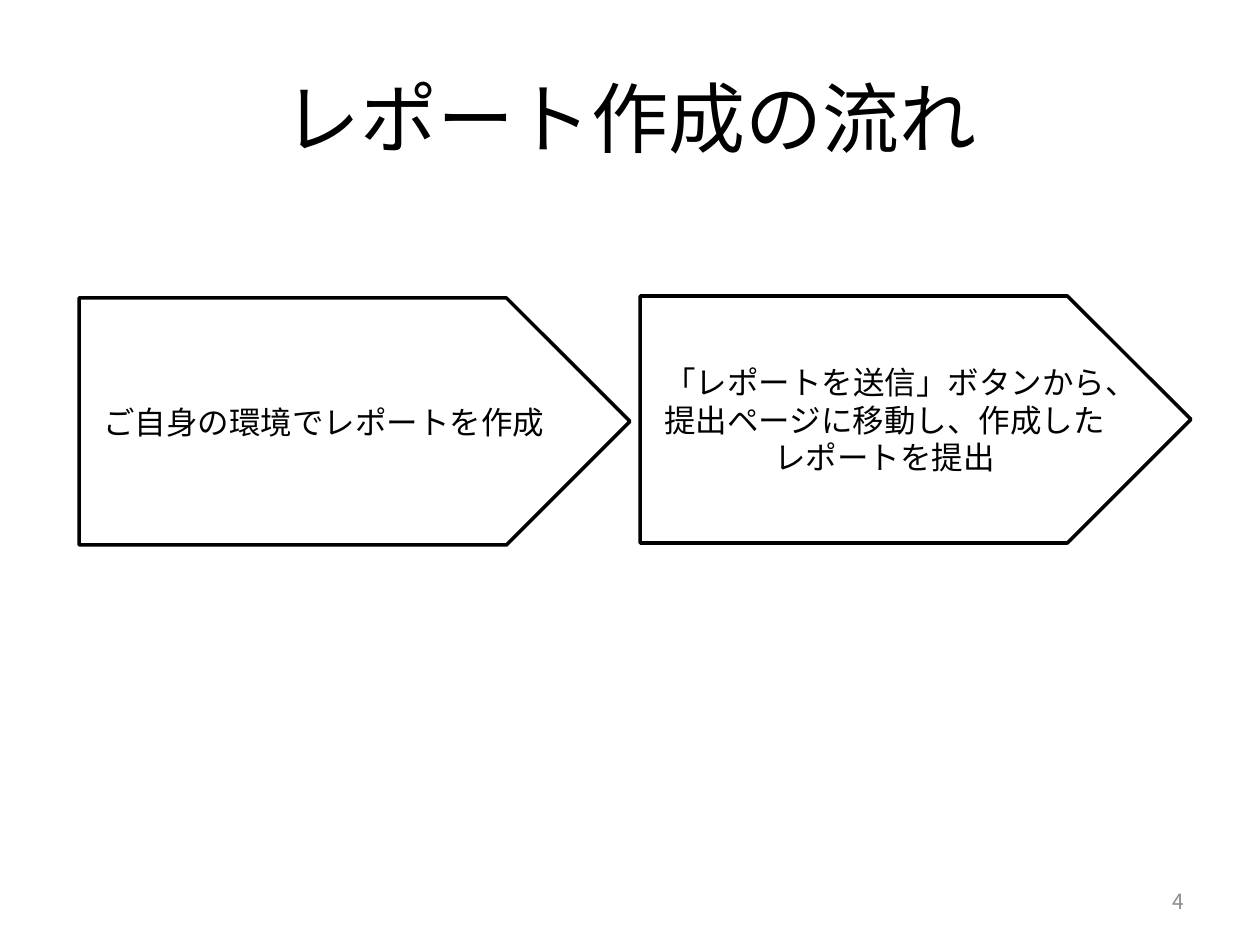
from lxml.etree import SubElement
from pptx import Presentation
from pptx.dml.color import RGBColor
from pptx.enum.shapes import MSO_SHAPE as Shape
from pptx.enum.text import MSO_ANCHOR as Anchor, PP_ALIGN as Align
from pptx.oxml.ns import qn
from pptx.util import Emu, Pt

BLACK = RGBColor(0x00, 0x00, 0x00)
GRAY = RGBColor(0x8C, 0x8C, 0x8C)
GOTHIC = "Noto Sans CJK JP"
BODY = "Calibri"
PX_PER_INCH = 126
TITLE_ONLY = 5


def px(*lengths):
    return [Emu(round(length * 914400 / PX_PER_INCH)) for length in lengths]


class Deck:
    def __init__(self, width, height):
        self.presentation = Presentation()
        self.presentation.slide_width, self.presentation.slide_height = px(width, height)
        self.slide = None

    def add_slide(self):
        layout = self.presentation.slide_layouts[TITLE_ONLY]
        self.slide = self.presentation.slides.add_slide(layout)

    def set_text(self, frame, text, size, font, color, align):
        frame.word_wrap = True
        frame.vertical_anchor = Anchor.MIDDLE
        paragraph = frame.paragraphs[0]
        paragraph.alignment = align
        run = paragraph.add_run()
        run.text = text
        run.font.size = Pt(size)
        run.font.color.rgb = color
        run.font.name = font
        SubElement(run._r.get_or_add_rPr(), qn("a:ea"), typeface=font)

    def title(self, box, text):
        heading = self.slide.shapes.title
        heading.left, heading.top, heading.width, heading.height = px(*box)
        self.set_text(heading.text_frame, text, 44, GOTHIC, BLACK, Align.CENTER)

    def page_number(self, box, number):
        label = self.slide.shapes.add_textbox(*px(*box))
        self.set_text(label.text_frame, number, 12, GOTHIC, GRAY, Align.RIGHT)

    def step(self, box, text):
        arrow = self.slide.shapes.add_shape(Shape.PENTAGON, *px(*box))
        arrow.shadow.inherit = False
        arrow.fill.background()
        arrow.line.color.rgb = BLACK
        arrow.line.width = Pt(2)
        self.set_text(arrow.text_frame, text, 18, BODY, BLACK, Align.CENTER)

    def save(self):
        self.presentation.save("out.pptx")


def main():
    deck = Deck(1260, 945)
    deck.add_slide()
    deck.title((63, 38, 1134, 158), "レポート作成の流れ")
    deck.page_number((903, 876, 294, 50), "4")
    steps = [
        (79, 298, "ご自身の環境でレポートを作成"),
        (640, 296, "「レポートを送信」ボタンから、提出ページに移動し、作成したレポートを提出"),
    ]
    for left, top, text in steps:
        deck.step((left, top, 551, 247), text)
    deck.save()


if __name__ == "__main__":
    main()
